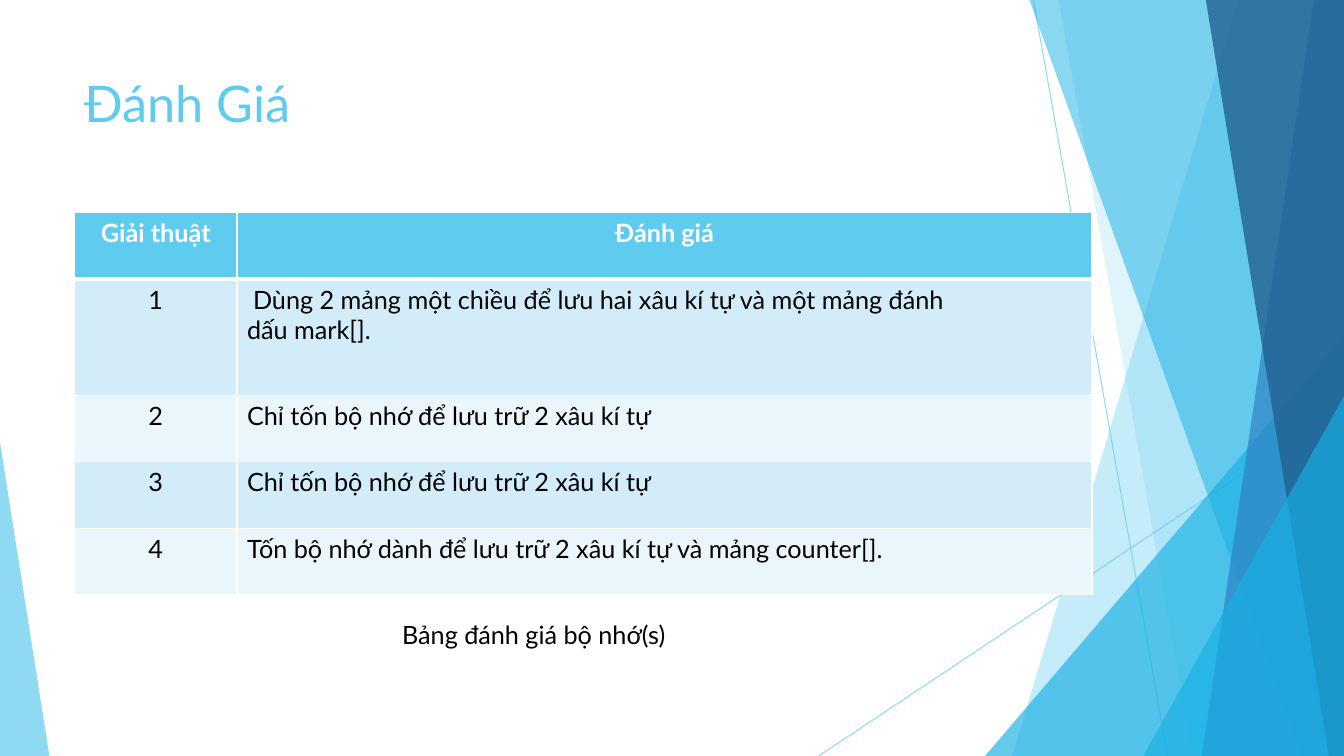
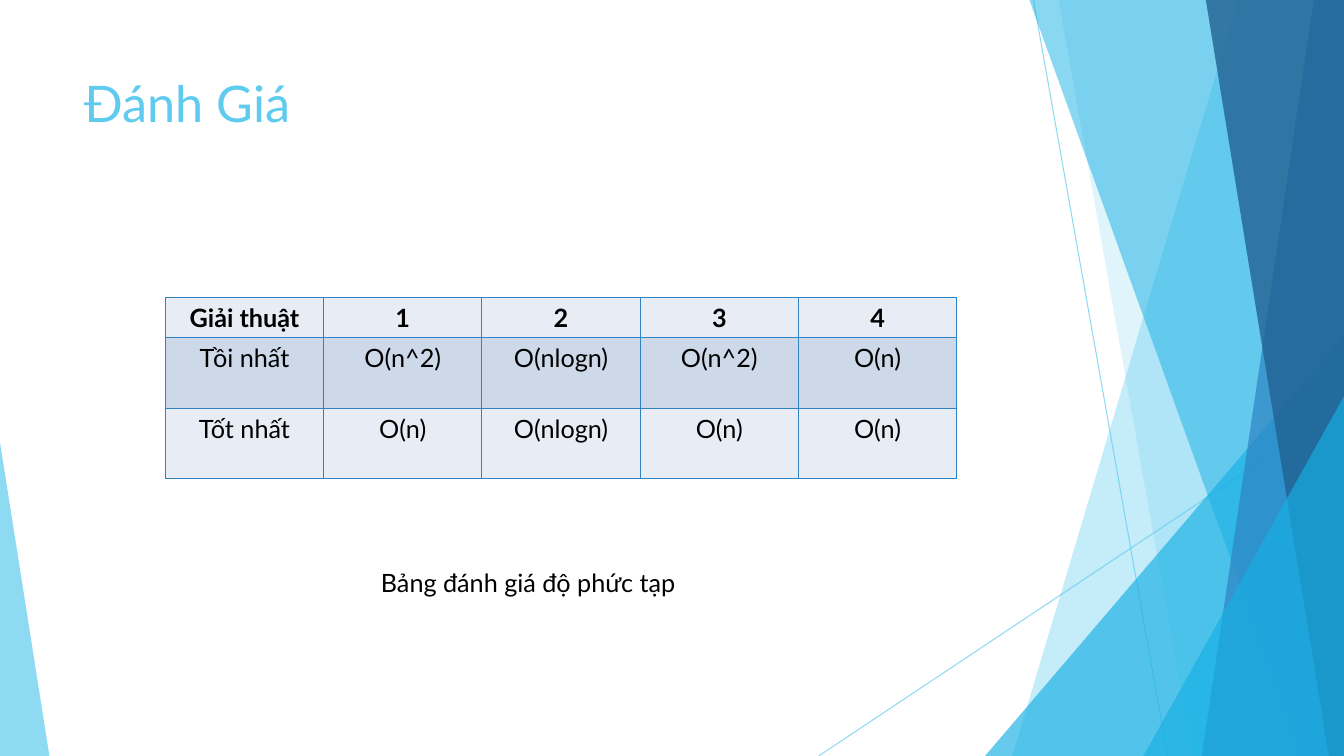
from lxml import etree
from pptx import Presentation
from pptx import util as u
from pptx.dml.color import RGBColor
from pptx.enum import shapes, text
from pptx.oxml import ns

FONT = "Lato"
SKY, CYAN, BLUE, NAVY = "5FCBEF", "17B0E4", "2E83C3", "226292"
BLACK, WHITE = "000000", "FFFFFF"
WIDTH, HEIGHT = 13.33, 7.5

LINES = [(10.25, 0, 11.58, HEIGHT), (WIDTH, 4.03, 8.12, HEIGHT)]
FACETS = [
    ("band", 12.28, 10.04, SKY, 36),
    ("band", 10.5, 11.83, SKY, 20),
    ("triangle", 9.77, 3.33, 3.56, 1, CYAN, 66),
    ("band", 10.21, 12.91, CYAN, 50),
    ("band", 13.03, 11.92, BLUE, 70),
    ("band", 11.96, 13.18, NAVY, 80),
    ("triangle", 11.34, 3.93, 1.99, 1, CYAN, 66),
    ("triangle", 0, 4.39, 0.49, 0, SKY, 70),
]


def paint(color_format, color):
    """Set a colour format from a hex string."""
    color_format.rgb = RGBColor.from_string(color)


def fade(holder, percent):
    """Give the colour inside an element its opacity."""
    color = holder.find(".//" + ns.qn("a:srgbClr"))
    etree.SubElement(color, ns.qn("a:alpha"), val=str(percent * 1000))


def fill_facet(shape, color, opacity):
    """Fill a shape with a translucent colour, without line or shadow."""
    shape.shadow.inherit = False
    shape.line.fill.background()
    shape.fill.solid()
    paint(shape.fill.fore_color, color)
    fade(shape.fill._xPr.find(ns.qn("a:solidFill")), opacity)


def add_band(slide, top_x, bottom_x, color, opacity):
    """Draw a full-height facet from a slanted edge to the right side."""
    builder = slide.shapes.build_freeform(
        u.Inches(top_x), 0, scale=1.0)
    corners = [(WIDTH, 0), (WIDTH, HEIGHT), (bottom_x, HEIGHT)]
    builder.add_line_segments(
        [(u.Inches(x), u.Inches(y)) for x, y in corners], close=True)
    fill_facet(builder.convert_to_shape(), color, opacity)


def add_triangle(slide, left, top, width, apex, color, opacity):
    """Draw a right-angled facet that stands on the bottom edge."""
    triangle = slide.shapes.add_shape(
        shapes.MSO_SHAPE.ISOSCELES_TRIANGLE,
        *map(u.Inches, (left, top, width, HEIGHT - top)))
    triangle.adjustments[0] = apex
    fill_facet(triangle, color, opacity)


def add_backdrop(slide):
    """Draw the thin lines and the facets that every slide shares."""
    for ends in LINES:
        line = slide.shapes.add_connector(
            shapes.MSO_CONNECTOR.STRAIGHT, *map(u.Inches, ends))
        line.line.width = u.Pt(0.75)
        paint(line.line.color, SKY)
        properties = line._element.spPr
        fade(properties, 70)
        etree.SubElement(properties, ns.qn("a:effectLst"))
    draw = {"band": add_band, "triangle": add_triangle}
    for kind, *values in FACETS:
        draw[kind](slide, *values)


def write(paragraph, words, color=BLACK, size=18, bold=False):
    """Add one styled run to a paragraph."""
    run = paragraph.add_run()
    run.text = words
    run.font.name = FONT
    run.font.size = u.Pt(size)
    run.font.bold = bold
    paint(run.font.color, color)


def add_text(slide, box, words, **style):
    """Place a line of text in a box."""
    frame = slide.shapes.add_textbox(*map(u.Inches, box)).text_frame
    frame.word_wrap = True
    frame.vertical_anchor = text.MSO_ANCHOR.TOP
    write(frame.paragraphs[0], words, **style)


def add_border(cell, side, color, width):
    """Draw one side of a cell."""
    border = etree.SubElement(
        cell._tc.get_or_add_tcPr(), ns.qn("a:ln" + side), w=str(u.Pt(width)))
    solid = etree.SubElement(border, ns.qn("a:solidFill"))
    etree.SubElement(solid, ns.qn("a:srgbClr"), val=color)


def fill_cell(cell, words, fill, color, bold, centred):
    """Fill a cell and write its lines of text."""
    cell.fill.solid()
    paint(cell.fill.fore_color, fill)
    paragraph = cell.text_frame.paragraphs[0]
    paragraph.alignment = (
        text.PP_ALIGN.CENTER if centred else text.PP_ALIGN.LEFT)
    for index, line in enumerate(words.split("\n")):
        if index:
            paragraph.add_line_break()
        write(paragraph, line, color, bold=bold)


def add_grid(slide, corner, widths, heights, rows, fills, border,
             header_color=BLACK, header_rule=1, left_column=None):
    """Add a table with a header row and two alternating body fills."""
    size = (sum(widths), sum(heights))
    table = slide.shapes.add_table(
        len(rows), len(widths), *map(u.Inches, corner + size)).table
    table.first_row = table.horz_banding = False
    for column, width in zip(table.columns, widths):
        column.width = u.Inches(width)
    for row, height in zip(table.rows, heights):
        row.height = u.Inches(height)
    header_fill, *body_fills = fills
    for r, row in enumerate(rows):
        header = r == 0
        fill = header_fill if header else body_fills[(r - 1) % 2]
        rules = {"L": 1, "R": 1, "T": header_rule if r == 1 else 1,
                 "B": header_rule if header else 1}
        for c, words in enumerate(row):
            cell = table.cell(r, c)
            for side, width in rules.items():
                add_border(cell, side, border, width)
            fill_cell(cell, words, fill, header_color if header else BLACK,
                      header, header or c != left_column)
    return table


def add_slide(presentation, title, caption, caption_corner):
    """Start a slide with its backdrop, title and table caption."""
    slide = presentation.slides.add_slide(presentation.slide_layouts[6])
    add_backdrop(slide)
    add_text(slide, (0.74, 0.67, 9.4, 1.44), title, color=SKY, size=36)
    add_text(slide, caption_corner + (4.1, 0.4), caption)
    return slide


def add_memory_slide(presentation):
    """Build the slide that compares memory use."""
    slide = add_slide(presentation, "Đánh Giá", "Bảng đánh giá bộ nhớ(s)",
                      (3.89, 6.09))
    rows = [
        ("Giải thuật", "Đánh giá"),
        ("1", "Dùng 2 mảng một chiều để lưu hai xâu kí tự và một mảng đánh\n"
              "dấu mark[]."),
        ("2", "Chỉ tốn bộ nhớ để lưu trữ 2 xâu kí tự"),
        ("3", "Chỉ tốn bộ nhớ để lưu trữ 2 xâu kí tự"),
        ("4", "Tốn bộ nhớ dành để lưu trữ 2 xâu kí tự và mảng counter[]."),
    ]
    table = add_grid(
        slide, (0.74, 2.11), (1.61, 8.48), (0.66, 1.15, 0.66, 0.66, 0.66),
        rows, (SKY, "D2ECF9", "EAF6FC"), WHITE, header_color=WHITE,
        header_rule=3, left_column=1)
    first_note = table.cell(1, 1).text_frame.paragraphs[0]
    first_note._p.get_or_add_pPr().set("indent", str(u.Inches(0.06)))


def add_complexity_slide(presentation):
    """Build the slide that compares running times."""
    slide = add_slide(presentation, "Đánh Giá", "Bảng đánh giá độ phức tạp",
                      (3.68, 5.58))
    rows = [
        ("Giải thuật", "1", "2", "3", "4"),
        ("Tồi nhất", "O(n^2)", "O(nlogn)", "O(n^2)", "O(n)"),
        ("Tốt nhất", "O(n)", "O(nlogn)", "O(n)", "O(n)"),
    ]
    add_grid(slide, (1.64, 2.95), (1.57,) * 5, (0.4, 0.7, 0.7), rows,
             ("E8EDF5", "CDD9E9", "E8EDF5"), BLUE)


def main():
    """Build and save the presentation."""
    presentation = Presentation()
    presentation.slide_width = u.Inches(WIDTH)
    presentation.slide_height = u.Inches(HEIGHT)
    add_memory_slide(presentation)
    add_complexity_slide(presentation)
    presentation.save("out.pptx")


if __name__ == "__main__":
    main()
